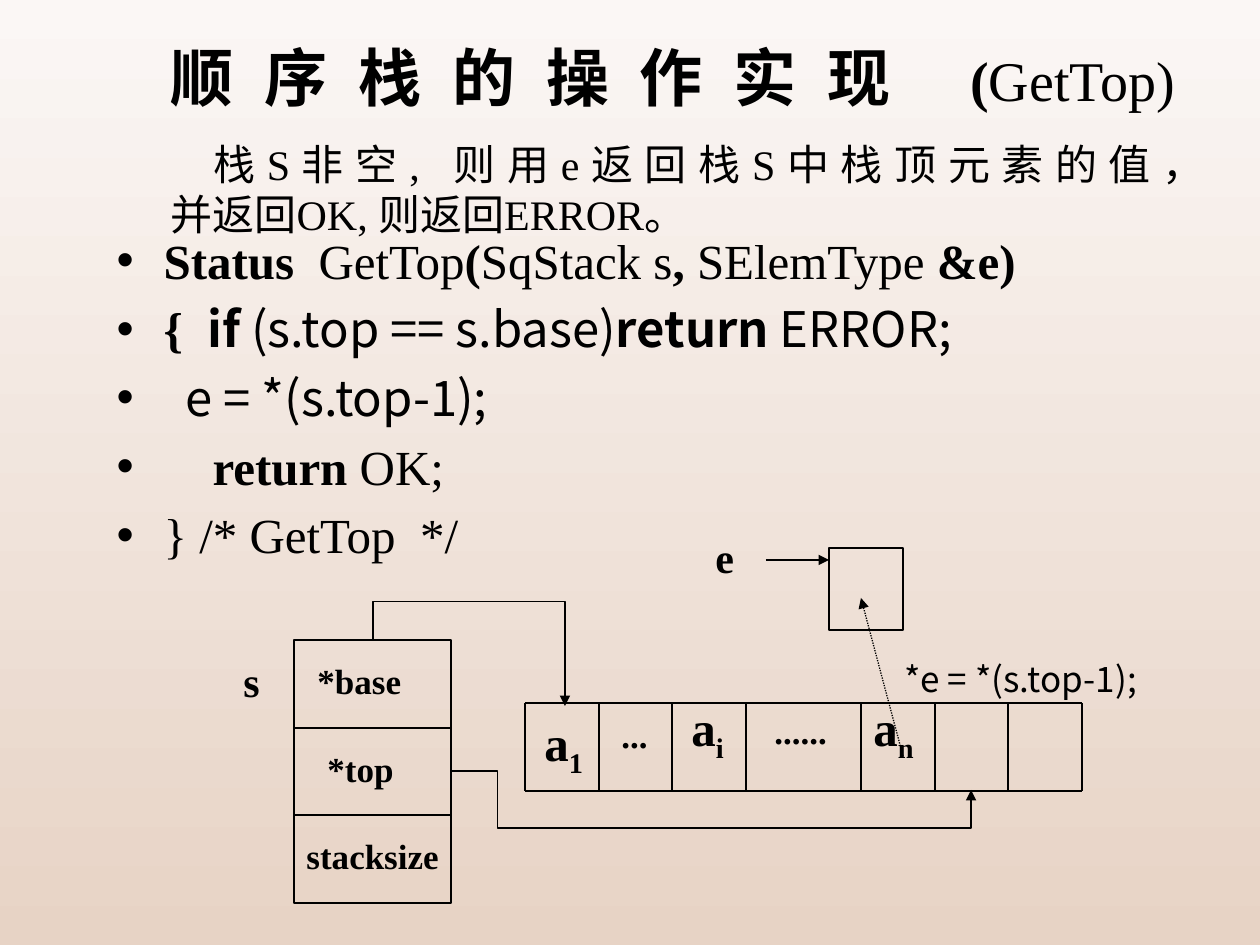
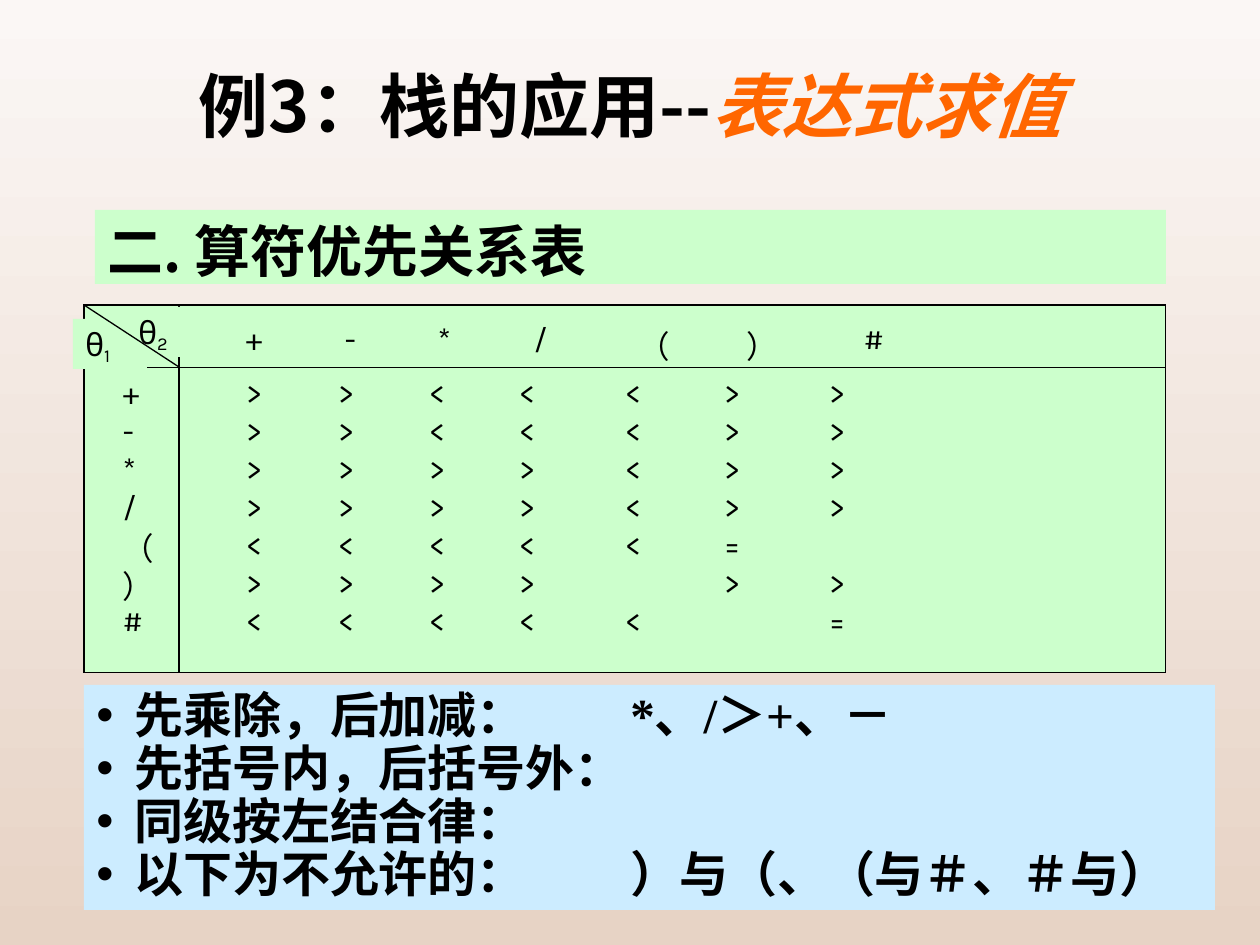
from dataclasses import dataclass

from lxml import etree
from pptx import Presentation
from pptx.dml.color import RGBColor
from pptx.enum.dml import MSO_LINE
from pptx.enum.shapes import MSO_CONNECTOR, MSO_SHAPE
from pptx.enum.text import MSO_ANCHOR, MSO_AUTO_SIZE, PP_ALIGN
from pptx.oxml.ns import qn
from pptx.util import Emu, Pt

STRAIGHT, ELBOW = MSO_CONNECTOR.STRAIGHT, MSO_CONNECTOR.ELBOW
RECTANGLE = MSO_SHAPE.RECTANGLE
DOTTED = MSO_LINE.ROUND_DOT
TOP, MIDDLE = MSO_ANCHOR.TOP, MSO_ANCHOR.MIDDLE
FIT_SHAPE, NO_FIT = MSO_AUTO_SIZE.SHAPE_TO_FIT_TEXT, MSO_AUTO_SIZE.NONE
LEFT, CENTER, JUSTIFY = PP_ALIGN.LEFT, PP_ALIGN.CENTER, PP_ALIGN.JUSTIFY


@dataclass(frozen=True)
class Theme:
    serif: str = "Times New Roman"
    sans: str = "Noto Sans CJK SC"
    symbols: str = "Karla"
    ink: str = "000000"
    accent: str = "FF6600"
    green: str = "CCFFCC"
    blue: str = "CCECFF"
    sky: str = "FBF7F5"
    sand: str = "E7D3C5"
    title: int = 40
    heading: int = 32
    body: int = 28
    note: int = 24
    label: int = 20
    symbol: int = 18
    line: float = 0.75


THEME = Theme()


def px(value):
    return Emu(round(value * 914400 / 126))


def rgb(value):
    return RGBColor.from_string(value)


# Text

def add_bullet(para, indent=0, tab=None):
    """Hanging bullet, or none when the indent is zero."""
    props = para._p.get_or_add_pPr()
    props.set("marL", str(px(indent)))
    props.set("indent", str(-px(indent)))
    if indent:
        etree.SubElement(props, qn("a:buFont"), typeface="Arial")
        etree.SubElement(props, qn("a:buChar"), char="•")
    else:
        etree.SubElement(props, qn("a:buNone"))
    if tab:
        tabs = etree.SubElement(props, qn("a:tabLst"))
        etree.SubElement(tabs, qn("a:tab"), pos=str(px(tab)), algn="l")


def add_span(para, text, size=None, font=None, bold=None, italic=None,
             color=None, baseline=None):
    for index, part in enumerate(text.split("\n")):
        if index:
            para.add_line_break()
        if not part:
            continue
        span = para.add_run()
        span.text = part
        if size:
            span.font.size = Pt(size)
        if font:
            span.font.name = font
        if color:
            span.font.color.rgb = rgb(color)
        span.font.bold, span.font.italic = bold, italic
        if baseline:
            span._r.get_or_add_rPr().set("baseline", str(baseline * 1000))


def write(para, spans, size, font, bold=False, align=LEFT, spacing=None):
    """Fill a paragraph; each span is a text or a (text, overrides) pair."""
    para.alignment = align
    if spacing:
        para.line_spacing = spacing
    para.font.size, para.font.name, para.font.bold = Pt(size), font, bold
    para.font.color.rgb = rgb(THEME.ink)
    latin = para._p.pPr.find(qn("a:defRPr")).find(qn("a:latin"))
    latin.addnext(latin.makeelement(qn("a:ea"), typeface=THEME.sans))
    for span in [spans] if isinstance(spans, str) else spans:
        text, style = (span, {}) if isinstance(span, str) else span
        add_span(para, text, **style)


def paragraphs(frame, count):
    return [frame.paragraphs[0]] + [frame.add_paragraph() for _ in range(count - 1)]


def place(box, left, top, width, height, anchor):
    box.left, box.top, box.width, box.height = map(px, (left, top, width, height))
    frame = box.text_frame
    frame.word_wrap, frame.auto_size, frame.vertical_anchor = True, NO_FIT, anchor
    return frame


def add_label(page, left, top, width, height, spans, size=THEME.label,
              font=THEME.serif, bold=True, fill=None):
    box = page.shapes.add_textbox(*map(px, (left, top, width, height)))
    box.text_frame.word_wrap = False
    box.text_frame.auto_size = FIT_SHAPE
    if fill:
        box.fill.solid()
        box.fill.fore_color.rgb = rgb(fill)
    write(box.text_frame.paragraphs[0], spans, size, font, bold)


# Shapes and lines

def add_frame(page, left, top, width, height):
    box = page.shapes.add_shape(RECTANGLE, *map(px, (left, top, width, height)))
    box.shadow.inherit = False
    box.fill.background()
    box.line.color.rgb, box.line.width = rgb(THEME.ink), Pt(THEME.line)


def add_line(page, start, end, arrow=False, dash=None, kind=STRAIGHT):
    line = page.shapes.add_connector(kind, *map(px, (*start, *end)))
    line.line.color.rgb, line.line.width = rgb(THEME.ink), Pt(THEME.line)
    if dash:
        line.line.dash_style = dash
    if arrow:
        etree.SubElement(line.line._get_or_add_ln(), qn("a:tailEnd"), type="triangle")
    etree.SubElement(line._element.spPr, qn("a:effectLst"))
    return line


def add_bent_arrow(page, left, top, width, height, bends, turned=False):
    """Elbow arrow; bends are percentages of its width and height."""
    line = add_line(page, (left, top), (left + width, top + height), True, kind=ELBOW)
    props = line._element.spPr
    shape = props.find(qn("a:prstGeom"))
    shape.set("prst", f"bentConnector{len(bends) + 2}")
    guides = shape.find(qn("a:avLst"))
    if guides is None:
        guides = etree.SubElement(shape, qn("a:avLst"))
    for index, bend in enumerate(bends, 1):
        etree.SubElement(guides, qn("a:gd"), name=f"adj{index}",
                         fmla=f"val {bend * 1000}")
    if turned:
        props.find(qn("a:xfrm")).set("rot", "5400000")
        props.find(qn("a:xfrm")).set("flipV", "1")


def set_borders(cell, sides):
    props = cell._tc.get_or_add_tcPr()
    for index, side in enumerate("LRTB"):
        width = Pt(THEME.line) if side in sides else 0
        edge = etree.Element(qn(f"a:ln{side}"), w=str(width))
        if side in sides:
            fill = etree.SubElement(edge, qn("a:solidFill"))
            etree.SubElement(fill, qn("a:srgbClr"), val=THEME.ink)
        else:
            etree.SubElement(edge, qn("a:noFill"))
        props.insert(index, edge)


# Slide 1: reading the top of the stack

def add_stack_record(page):
    add_frame(page, 294, 640, 157, 263)
    add_frame(page, 294, 728, 157, 87)
    add_label(page, 305, 653, 120, 54, "*base")
    add_label(page, 315, 741, 100, 54, "*top")
    add_label(page, 294, 828, 170, 54, "stacksize")
    add_label(page, 231, 649, 42, 63, "s", THEME.note)


def add_element_array(page):
    top, bottom = 703, 791
    edges = (525, 599, 672, 746, 861, 935, 1008, 1082)
    for y in (top, bottom):
        add_line(page, (edges[0], y), (edges[-1], y))
    for x in edges:
        add_line(page, (x, top), (x, bottom))
    for left, right in zip(edges[4:6], edges[5:7]):
        add_frame(page, left, top, right - left, bottom - top)
    add_label(page, 609, 707, 52, 54, "...")
    add_label(page, 762, 703, 78, 54, "......")
    for left, y, width, index in ((532, 706, 67, "1"), (679, 691, 59, "i"),
                                  (861, 691, 68, "n")):
        add_label(page, left, y, width, 72,
                  ["a", (index, {"baseline": -25})], THEME.body)


def build_get_top(page):
    bold, sans = {"bold": True}, {"font": THEME.sans}
    note = {"size": THEME.note}
    frame = place(page.shapes.title, 158, 52, 1071, 174, MIDDLE)
    write(frame.paragraphs[0], [
        ("顺序栈的操作实现", {"size": 36, "bold": True}),
        (" ", {"size": 44, "bold": True}), ("(", {"size": 32, "bold": True}),
        ("GetTop)", {"size": 32}), (" \n", note),
        (" ", {"size": 44, "bold": True}),
        ("栈S非空, 则用e返回栈S中栈顶元素的值，\n并返回OK, 则返回ERROR。", note),
    ], THEME.note, THEME.serif, align=JUSTIFY, spacing=0.85)

    code = [
        [("Status  ", bold), "GetTop", ("(", bold), "SqStack s", (", ", bold),
         "SElemType", (" &e)", bold)],
        [("{  ", bold), ("if", {**bold, **sans}), (" (s.top == s.base)", sans),
         ("return", {**bold, **sans}), (" ERROR;", sans)],
        [("  e = *(s.top-1);", sans)],
        ["    ", ("return ", bold), "OK;"],
        ["} /* GetTop  */"],
    ]
    frame = place(page.placeholders[1], 104, 224, 1071, 347, TOP)
    for index, para in enumerate(paragraphs(frame, len(code))):
        para.space_before = Pt(5.6 if index else 0)
        add_bullet(para, 47)
        write(para, code[index], THEME.body, THEME.serif, align=JUSTIFY)

    add_stack_record(page)
    add_element_array(page)
    add_bent_arrow(page, 436, 577, 66, 192, (-58,), turned=True)
    add_bent_arrow(page, 451, 771, 520, 19, (9, 300))

    # Result variable e
    add_frame(page, 829, 548, 74, 82)
    add_label(page, 703, 525, 44, 63, "e", THEME.note)
    add_line(page, (766, 560), (829, 560), arrow=True)
    add_line(page, (903, 756), (861, 598), arrow=True, dash=DOTTED)
    add_label(page, 892, 651, 305, 54, "*e = *(s.top-1);", font=THEME.sans, bold=False)


# Slide 2: operator precedence

OPERATORS = "+-*/（）#"
PRECEDENCE = (">><<<>>", ">><<<>>", ">>>><>>", ">>>><>>",
              "<<<<<= ", ">>>> >>", "<<<<< =")


def add_precedence_table(page):
    left, top = 84, 305
    edges = (84, 179, 290, 385, 478, 575, 690, 790, 1166)
    header_starts = (84, 246, 345, 438, 534, 639, 747, 864)
    body_starts = (123, 246, 338, 429, 519, 625, 724, 829)
    heights = [62, 57] + [38] * 5 + [58]
    rows = [" " + OPERATORS] + [a + b for a, b in zip(OPERATORS, PRECEDENCE)]
    holder = page.shapes.add_table(len(rows), len(rows[0]), px(left), px(top),
                                   px(edges[-1] - left), px(sum(heights)))
    table = holder.table
    for column, start, end in zip(table.columns, edges, edges[1:]):
        column.width = px(end - start)
    for r, symbols in enumerate(rows):
        table.rows[r].height = px(heights[r])
        for c, symbol in enumerate(symbols):
            cell = table.cell(r, c)
            cell.fill.solid()
            cell.fill.fore_color.rgb = rgb(THEME.green)
            starts = body_starts if r else header_starts
            cell.margin_left = px(starts[c] - edges[c])
            cell.margin_right = cell.margin_bottom = 0
            cell.margin_top = px({0: 17, 1: 19}.get(r, 0))
            cell.vertical_anchor = TOP
            write(cell.text_frame.paragraphs[0], symbol.strip(), THEME.symbol,
                  THEME.symbols, spacing=0.6 if r else None)
            sides = {"L": c < 2, "R": c in (0, len(symbols) - 1),
                     "T": r < 2, "B": r in (0, len(rows) - 1)}
            set_borders(cell, [side for side, shown in sides.items() if shown])
    for x, y, index in ((73, 319, "1"), (126, 307, "2")):
        add_label(page, x, y, 74, 50, ["θ", (index, {"baseline": -17})],
                  THEME.symbol, THEME.symbols, False, THEME.green)
    add_line(page, (left, top), (edges[1], top + heights[0]))


def build_precedence(page):
    frame = place(page.shapes.title, 126, 42, 1008, 126, MIDDLE)
    write(frame.paragraphs[0],
          ["例3：栈的应用--", ("表达式求值", {"color": THEME.accent, "italic": True})],
          THEME.title, THEME.sans, True, CENTER)

    heading = page.placeholders[1]
    frame = place(heading, 95, 210, 1071, 74, TOP)
    heading.fill.solid()
    heading.fill.fore_color.rgb = rgb(THEME.green)
    frame.paragraphs[0].space_before = Pt(0)
    add_bullet(frame.paragraphs[0])
    write(frame.paragraphs[0], "二. 算符优先关系表", THEME.heading, THEME.sans, True)

    add_precedence_table(page)

    rules = ("先乘除，后加减：\t*、/＞+、－", "先括号内，后括号外：",
             "同级按左结合律：", "以下为不允许的：\t）与（、（与＃、＃与）")
    box = page.shapes.add_textbox(*map(px, (84, 685, 1131, 225)))
    box.fill.solid()
    box.fill.fore_color.rgb = rgb(THEME.blue)
    box.text_frame.word_wrap = True
    for para, rule in zip(paragraphs(box.text_frame, len(rules)), rules):
        add_bullet(para, 38, tab=534)
        write(para, rule, THEME.body, THEME.serif, True, spacing=0.9)


def main():
    deck = Presentation()
    deck.slide_width, deck.slide_height = px(1260), px(945)
    backdrop = deck.slide_master.background.fill
    backdrop.gradient()
    backdrop.gradient_angle = 270
    for stop, color in zip(backdrop.gradient_stops, (THEME.sky, THEME.sand)):
        stop.color.rgb = rgb(color)
    for build in (build_get_top, build_precedence):
        build(deck.slides.add_slide(deck.slide_layouts[1]))
    deck.save("out.pptx")


if __name__ == "__main__":
    main()
